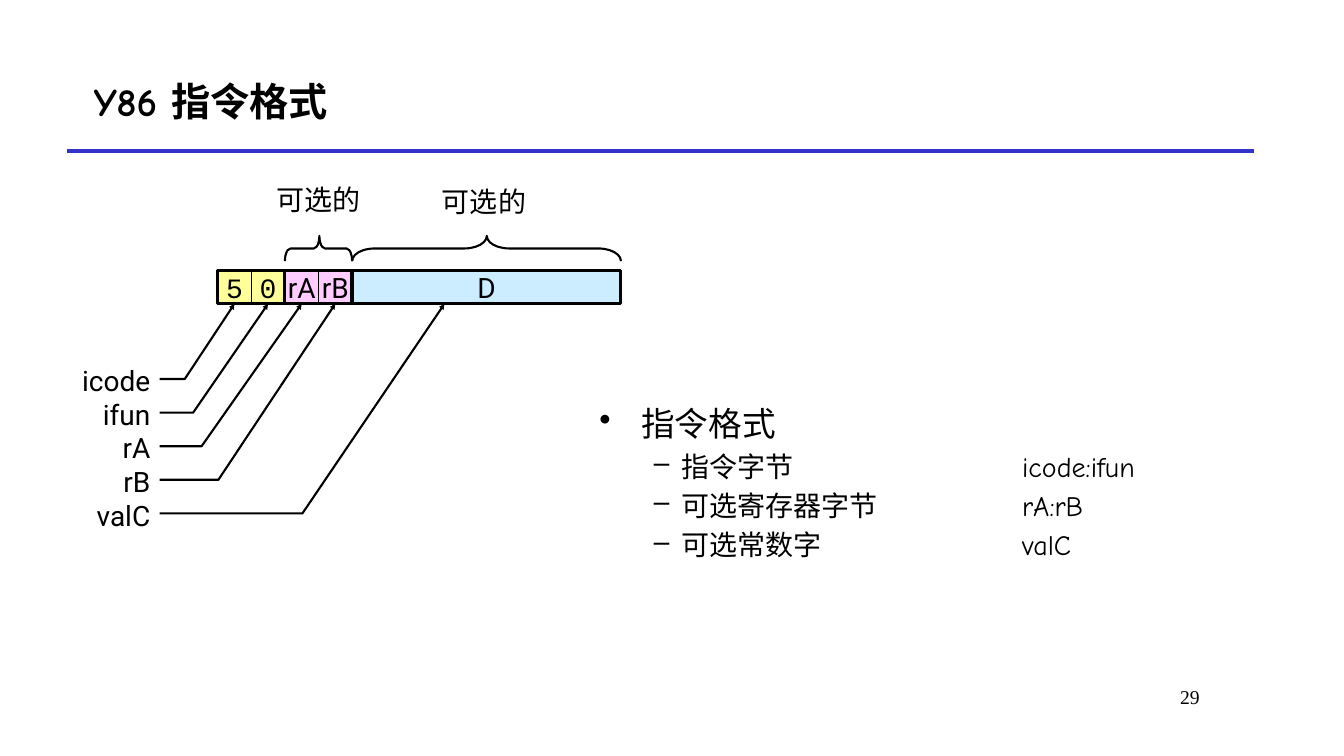
from lxml.etree import SubElement
from pptx import Presentation
from pptx.dml.color import RGBColor
from pptx.enum.shapes import MSO_CONNECTOR, MSO_SHAPE
from pptx.enum.text import MSO_ANCHOR, PP_ALIGN
from pptx.oxml.ns import qn
from pptx.util import Pt

BLACK = RGBColor(0x00, 0x00, 0x00)
BLUE = RGBColor(0x33, 0x33, 0xCC)
YELLOW = RGBColor(0xFF, 0xFF, 0x99)
PINK = RGBColor(0xFF, 0xCC, 0xFF)
SKY = RGBColor(0xCC, 0xEC, 0xFF)

COMIC = "Comic Neue"
COURIER = "Courier New"
NOTO = "Noto Sans CJK SC"
ROBOTO = "Roboto"
TIMES = "Times New Roman"

CELL = 24
ROW_LEFT = 155.5
ROW_TOP = 193
ROW_BOTTOM = ROW_TOP + CELL
PAIR = 2 * CELL
CONSTANT_LEFT = ROW_LEFT + 2 * PAIR
CONSTANT_WIDTH = 8 * CELL


class SlideBuilder:
    def __init__(self, page):
        self.page = page
        self.shapes = page.shapes

    def add_span(self, para, text, font, size, bold=False):
        span = para.add_run()
        span.text = text
        span.font.name = font
        span.font.size = Pt(size)
        span.font.bold = bold
        span.font.color.rgb = BLACK
        east_asian = NOTO if font == COMIC else font
        SubElement(span.font._element, qn("a:ea"), typeface=east_asian)

    def text_box(self, left, top, width, height, inset=7.2, wrap=True, anchor=MSO_ANCHOR.TOP):
        box = self.shapes.add_textbox(Pt(left), Pt(top), Pt(width), Pt(height))
        frame = box.text_frame
        frame.word_wrap = wrap
        frame.vertical_anchor = anchor
        frame.margin_left = frame.margin_right = Pt(inset)
        return frame

    def label(self, left, top, width, text, font, align, wrap=True):
        frame = self.text_box(left, top, width, 29, 3.6, wrap)
        para = frame.paragraphs[0]
        para.alignment = align
        para.line_spacing = 0.9
        self.add_span(para, text, font, 20)

    def bullet(self, para, text, size, mark, margin, hang, level):
        para.level = level
        para.space_before = Pt(size * 0.2)
        props = para._p.get_or_add_pPr()
        props.set("marL", str(Pt(margin)))
        props.set("indent", str(-Pt(hang)))
        SubElement(props, qn("a:buChar"), char=mark)
        tabs = SubElement(props, qn("a:tabLst"))
        SubElement(tabs, qn("a:tab"), pos=str(Pt(302)), algn="l")
        self.add_span(para, text, COMIC, size)

    def outline(self, shape, weight):
        shape.shadow.inherit = False
        shape.line.color.rgb = BLACK
        shape.line.width = Pt(weight)

    def field(self, left, width, weight, fill=None, text="", font=ROBOTO):
        shape = self.shapes.add_shape(
            MSO_SHAPE.RECTANGLE, Pt(left), Pt(ROW_TOP), Pt(width), Pt(CELL))
        self.outline(shape, weight)
        if fill is None:
            shape.fill.background()
            return
        shape.fill.solid()
        shape.fill.fore_color.rgb = fill
        frame = shape.text_frame
        frame.word_wrap = False
        frame.vertical_anchor = MSO_ANCHOR.MIDDLE
        para = frame.paragraphs[0]
        para.alignment = PP_ALIGN.CENTER
        self.add_span(para, text, font, 20)

    def brace(self, left, span_width, curve, point):
        depth = 18
        middle_x, middle_y = left + span_width / 2, 177.5
        shape = self.shapes.add_shape(
            MSO_SHAPE.LEFT_BRACE, Pt(middle_x - depth / 2),
            Pt(middle_y - span_width / 2), Pt(depth), Pt(span_width))
        shape.rotation = 90
        shape.adjustments[0] = curve
        shape.adjustments[1] = point
        shape.fill.background()
        self.outline(shape, 1.5)

    def bent_arrow(self, points):
        start, *rest = [(Pt(x), Pt(y)) for x, y in points]
        builder = self.shapes.build_freeform(*start)
        builder.add_line_segments(rest, close=False)
        shape = builder.convert_to_shape()
        shape.fill.background()
        self.outline(shape, 1.5)
        SubElement(shape.line._get_or_add_ln(), qn("a:tailEnd"),
                   type="triangle", w="sm", len="sm")

    def rule(self, left, right, y):
        line = self.shapes.add_connector(
            MSO_CONNECTOR.STRAIGHT, Pt(left), Pt(y), Pt(right), Pt(y))
        line.line.color.rgb = BLUE
        line.line.width = Pt(3)
        SubElement(line._element.spPr, qn("a:effectLst"))


def main():
    deck = Presentation()
    deck.slide_width, deck.slide_height = Pt(960), Pt(540)
    slide = SlideBuilder(deck.slides.add_slide(deck.slide_layouts[6]))

    slide.rule(48, 896, 108)

    number = slide.text_box(728, 486, 136, 36).paragraphs[0]
    number.alignment = PP_ALIGN.RIGHT
    slide.add_span(number, "29", TIMES, 14)

    title = slide.text_box(60, 36, 636, 72, anchor=MSO_ANCHOR.MIDDLE).paragraphs[0]
    slide.add_span(title, "Y86 ", COMIC, 28, True)
    slide.add_span(title, "指令格式", NOTO, 28, True)

    body = slide.text_box(421, 284.5, 420, 141)
    slide.bullet(body.paragraphs[0], "指令格式", 24, "•", 30, 30, 0)
    for text in ("指令字节\ticode:ifun", "可选寄存器字节\trA:rB", "可选常数字\tvalC"):
        slide.bullet(body.add_paragraph(), text, 20, "–", 58.5, 19.5, 1)

    pairs = [("50", YELLOW, COURIER), (("rA", "rB"), PINK, ROBOTO)]
    for index, (names, fill, font) in enumerate(pairs):
        left = ROW_LEFT + index * PAIR
        for place, name in enumerate(names):
            slide.field(left + place * CELL, CELL, 0.5, fill, name, font)
        slide.field(left, PAIR, 2.25)
    slide.field(CONSTANT_LEFT, CONSTANT_WIDTH, 2.25, SKY, "D")

    pointers = [("icode", 132, 167.5), ("ifun", 138, 191.5), ("rA", 144, 215.5),
                ("rB", 156, 239.5), ("valC", 216, 317.5)]
    for index, (name, elbow, tip) in enumerate(pointers):
        drop = index * CELL
        slide.label(35.5, 259 + drop, 75.5, name, ROBOTO, PP_ALIGN.RIGHT)
        level = 270.75 + drop
        slide.bent_arrow([(114, level), (elbow, level), (tip, ROW_BOTTOM)])

    slide.brace(ROW_LEFT + PAIR, PAIR, 0.222, 0.487)
    slide.brace(CONSTANT_LEFT, CONSTANT_WIDTH, 0.889, 0.499)
    for left, top in ((193.5, 129.5), (312, 131)):
        slide.label(left, top, 67.5, "可选的", NOTO, PP_ALIGN.CENTER, False)

    deck.save("out.pptx")


if __name__ == "__main__":
    main()
